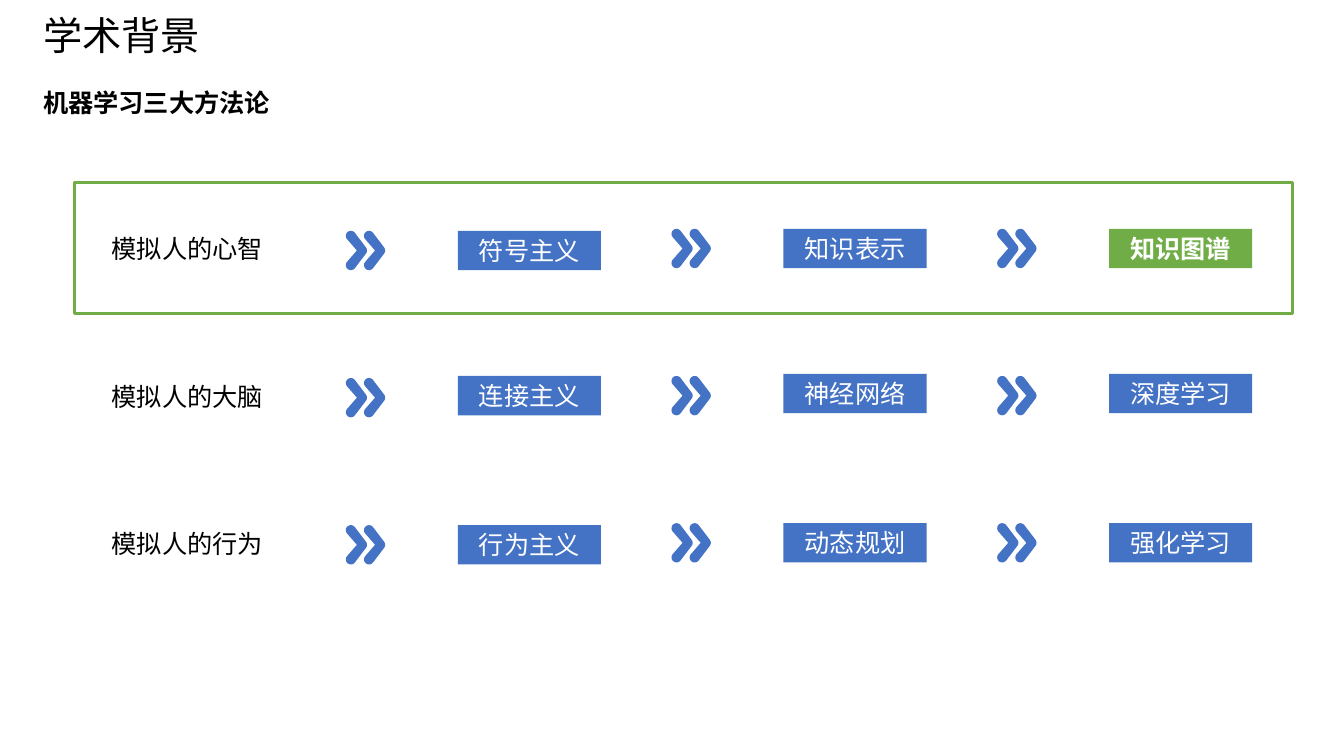
from math import atan2, cos, degrees, radians, sin

from lxml.etree import SubElement
from pptx import Presentation
from pptx.dml.color import RGBColor
from pptx.enum.shapes import MSO_SHAPE
from pptx.enum.text import MSO_ANCHOR, PP_ALIGN
from pptx.oxml.ns import qn
from pptx.util import Pt

PX = 9144
FONT = "Noto Sans CJK SC"
BLACK = RGBColor(0x00, 0x00, 0x00)
WHITE = RGBColor(0xFF, 0xFF, 0xFF)
BLUE = RGBColor(0x44, 0x72, 0xC4)
GREEN = RGBColor(0x70, 0xAD, 0x47)

ROW_PITCH = 146
COLUMN_PITCH = 323
STEP_SIZE = 39
STEP_WIDTH = 142
CHEVRON_RADIUS = 5
CHEVRON_GAP = 18

METHODS = [
    ("模拟人的心智", ["符号主义", "知识表示", "知识图谱"], 0),
    ("模拟人的大脑", ["连接主义", "神经网络", "深度学习"], -2),
    ("模拟人的行为", ["行为主义", "动态规划", "强化学习"], 0),
]
HIGHLIGHT = "知识图谱"


def write_text(shape, text, size=18, color=BLACK, bold=False, wrap=False,
               align=PP_ALIGN.LEFT, anchor=MSO_ANCHOR.TOP, line_spacing=1.0):
    frame = shape.text_frame
    frame.word_wrap = wrap
    frame.vertical_anchor = anchor
    paragraph = frame.paragraphs[0]
    paragraph.alignment = align
    paragraph.line_spacing = line_spacing
    run = paragraph.add_run()
    run.text = text
    run.font.name = FONT
    run.font.size = Pt(size)
    run.font.bold = bold
    run.font.color.rgb = color
    SubElement(run.font._element, qn("a:ea"), typeface=FONT)


def add_text(slide, box, text, **text_format):
    shape = slide.shapes.add_textbox(*(length * PX for length in box))
    write_text(shape, text, **text_format)


def add_rectangle(slide, box):
    shape = slide.shapes.add_shape(MSO_SHAPE.RECTANGLE, *(length * PX for length in box))
    shape.shadow.inherit = False
    return shape


def add_step(slide, box, text):
    highlighted = text == HIGHLIGHT
    shape = add_rectangle(slide, box)
    shape.fill.solid()
    shape.fill.fore_color.rgb = GREEN if highlighted else BLUE
    shape.line.fill.background()
    write_text(shape, text, color=WHITE, bold=highlighted, wrap=True,
               align=PP_ALIGN.CENTER, anchor=MSO_ANCHOR.MIDDLE)


def arc(center_x, center_y, start, end, segments=10):
    angles = [radians(start + (end - start) * i / segments) for i in range(segments + 1)]
    return [((center_x + CHEVRON_RADIUS * cos(a)) * PX,
             (center_y + CHEVRON_RADIUS * sin(a)) * PX) for a in angles]


def chevron_outline(left, top):
    middle = top + STEP_SIZE / 2
    tail_x, tip_x = left + CHEVRON_RADIUS, left + 16
    upper, lower = top + CHEVRON_RADIUS, top + STEP_SIZE - CHEVRON_RADIUS
    tilt = degrees(atan2(tip_x - tail_x, middle - upper))
    return [
        *arc(tip_x, middle, -tilt, tilt),
        *arc(tail_x, lower, tilt, tilt + 180),
        ((left + 11) * PX, middle * PX),
        *arc(tail_x, upper, 180 - tilt, 360 - tilt),
    ]


def add_double_chevron(slide, left, top):
    first, second = (chevron_outline(left + shift, top) for shift in (0, CHEVRON_GAP))
    builder = slide.shapes.build_freeform(*first[0])
    builder.add_line_segments(first[1:], close=True)
    builder.move_to(*second[0])
    builder.add_line_segments(second[1:], close=True)
    shape = builder.convert_to_shape()
    shape.shadow.inherit = False
    shape.fill.solid()
    shape.fill.fore_color.rgb = BLUE
    shape.line.fill.background()


def add_header(slide, left, top):
    add_text(slide, (left, top, 1267, 75), "学术背景", size=28, wrap=True,
             anchor=MSO_ANCHOR.MIDDLE, line_spacing=0.9)
    add_text(slide, (left, top + 82, 247, 40), "机器学习三大方法论", bold=True)


def add_method_row(slide, left, top, label, steps, step_shift):
    add_text(slide, (left, top, 172, STEP_SIZE), label)
    for column, step in enumerate(steps):
        column_left = left + column * COLUMN_PITCH
        column_top = top + 2 if column == 0 else top
        add_double_chevron(slide, column_left + 242, column_top)
        add_step(slide, (column_left + 353, column_top + step_shift, STEP_WIDTH, STEP_SIZE), step)


def add_methods(slide, left, top, width, height):
    for row, method in enumerate(METHODS):
        add_method_row(slide, left + 27, top + 46 + row * ROW_PITCH, *method)
    frame = add_rectangle(slide, (left, top, width, height))
    frame.fill.background()
    frame.line.color.rgb = GREEN
    frame.line.width = Pt(2.25)


def main():
    presentation = Presentation()
    presentation.slide_width = 1333 * PX
    presentation.slide_height = 750 * PX
    slide = presentation.slides.add_slide(presentation.slide_layouts[6])
    add_header(slide, 33, 0)
    add_methods(slide, 74, 181, 1208, 130)
    presentation.save("out.pptx")


if __name__ == "__main__":
    main()
